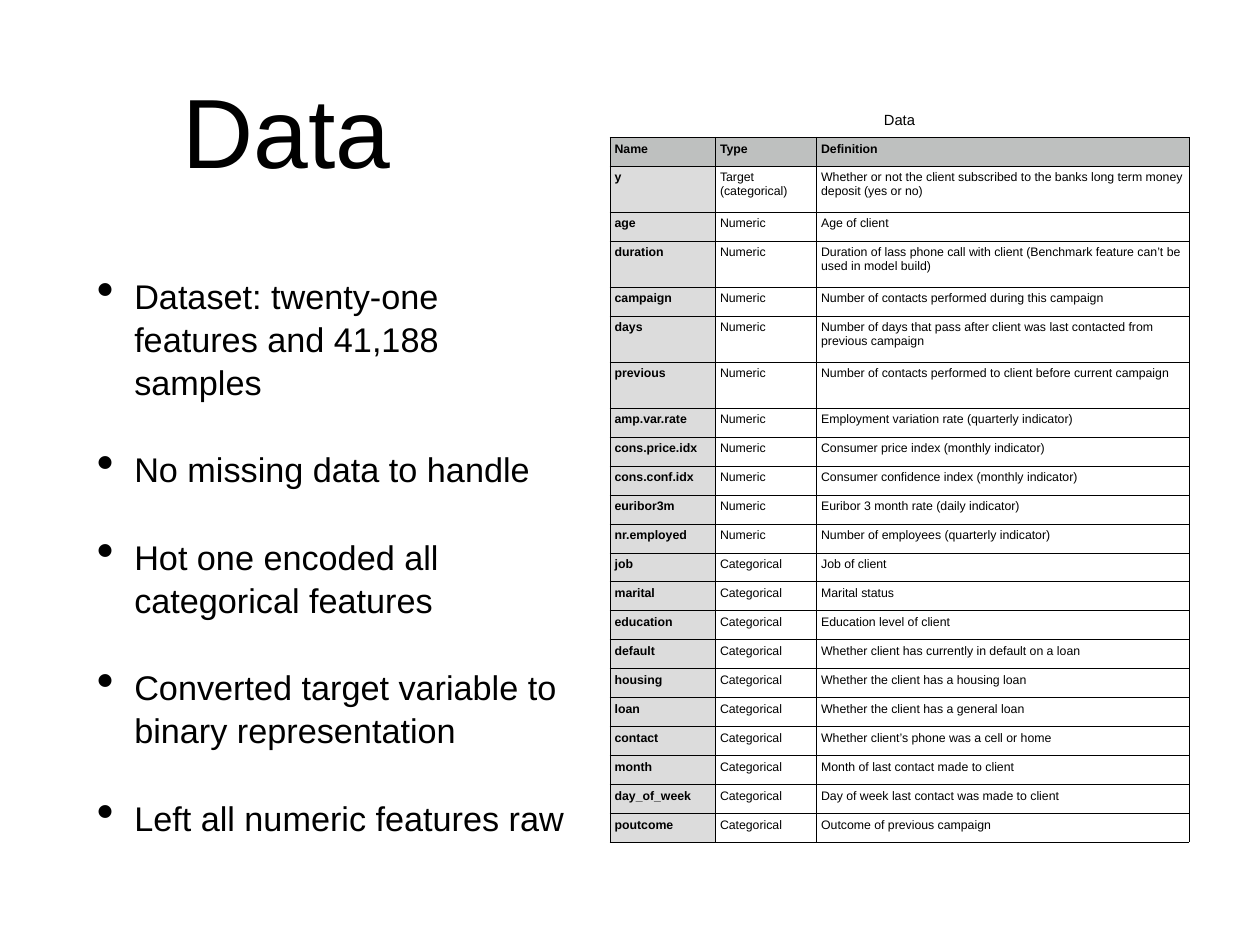
from lxml import etree
from pptx import Presentation
from pptx.dml.color import RGBColor
from pptx.enum.text import MSO_ANCHOR, PP_ALIGN
from pptx.oxml.ns import qn
from pptx.util import Cm, Pt

LEFT, CENTER = PP_ALIGN.LEFT, PP_ALIGN.CENTER
TOP, MIDDLE = MSO_ANCHOR.TOP, MSO_ANCHOR.MIDDLE

BLACK, HEADER_GRAY, NAME_GRAY = "000000", "BEC0BF", "DCDCDC"
THIN, THICK = 0.35, 0.75
INSET = 0.14
TITLE_HEIGHT, ROW_HEIGHT, TALL_HEIGHT = 0.98, 0.83, 1.32
COLUMN_WIDTHS = [3.02, 2.9, 10.69]

BULLETS = [
    "Dataset: twenty-one features and 41,188 samples",
    "No missing data to handle",
    "Hot one encoded all categorical features",
    "Converted target variable to binary representation",
    "Left all numeric features raw",
]
HEADINGS = ("Name", "Type", "Definition")
NUMERIC = [
    ("age", "Age of client"),
    ("duration", "Duration of lass phone call with client "
                 "(Benchmark feature can’t be used in model build)"),
    ("campaign", "Number of contacts performed during this campaign"),
    ("days", "Number of days that pass after client was last contacted "
             "from previous campaign"),
    ("previous", "Number of contacts performed to client before current campaign"),
    ("amp.var.rate", "Employment variation rate (quarterly indicator)"),
    ("cons.price.idx", "Consumer price index (monthly indicator)"),
    ("cons.conf.idx", "Consumer confidence index (monthly indicator)"),
    ("euribor3m", "Euribor 3 month rate (daily indicator)"),
    ("nr.employed", "Number of employees (quarterly indicator)"),
]
CATEGORICAL = [
    ("job", "Job of client"),
    ("marital", "Marital status"),
    ("education", "Education level of client"),
    ("default", "Whether client has currently in default on a loan"),
    ("housing", "Whether the client has a housing loan"),
    ("loan", "Whether the client has a general loan"),
    ("contact", "Whether client’s phone was a cell or home"),
    ("month", "Month of last contact made to client"),
    ("day_of_week", "Day of week last contact was made to client"),
    ("poutcome", "Outcome of previous campaign"),
]
FEATURES = [
    ("y", "Target (categorical)", "Whether or not the client subscribed to "
                                  "the banks long term money deposit (yes or no)"),
    *[(name, "Numeric", definition) for name, definition in NUMERIC],
    *[(name, "Categorical", definition) for name, definition in CATEGORICAL],
]
TALL_FEATURES = {"y", "duration", "days", "previous"}


def color(value):
    return RGBColor.from_string(value)


class SlideWriter:
    def __init__(self, page, font_name, ink):
        self.page = page
        self.font_name = font_name
        self.ink = ink

    def style(self, para, size, align=LEFT, bold=False):
        para.alignment = align
        para.font.name = self.font_name
        para.font.size = Pt(size)
        para.font.bold = bold
        para.font.color.rgb = color(self.ink)

    def text(self, lines, left, top, width, height, size, align=LEFT, bulleted=False):
        box = self.page.shapes.add_textbox(Cm(left), Cm(top), Cm(width), Cm(height))
        frame = box.text_frame
        frame.word_wrap = True
        frame.vertical_anchor = MIDDLE
        frame.margin_left = frame.margin_right = Cm(INSET)
        frame.margin_top = frame.margin_bottom = Cm(INSET)
        frame.text = "\n".join(lines)
        for para in frame.paragraphs:
            if bulleted:
                self.bullet(para)
            self.style(para, size, align)

    def bullet(self, para):
        para.space_before = Pt(36)
        para.line_spacing = 1.05
        properties = para._p.get_or_add_pPr()
        properties.set("marL", str(Cm(1.07)))
        properties.set("indent", str(Cm(-1.07)))
        etree.SubElement(properties, qn("a:buSzPct"), val="145000")
        etree.SubElement(properties, qn("a:buChar"), char="•")

    def table(self, left, top, widths, heights):
        frame = self.page.shapes.add_table(
            len(heights), len(widths), Cm(left), Cm(top),
            Cm(sum(widths)), Cm(sum(heights)))
        grid = frame.table
        grid.first_row = grid.horz_banding = False
        for column, width in zip(grid.columns, widths):
            column.width = Cm(width)
        for row, height in zip(grid.rows, heights):
            row.height = Cm(height)
        return grid

    def cell(self, cell, text, size, borders, fill=None, align=LEFT,
             anchor=TOP, bold=False):
        cell.text = text
        cell.vertical_anchor = anchor
        cell.margin_left = cell.margin_right = Cm(INSET)
        cell.margin_top = cell.margin_bottom = Cm(INSET)
        self.style(cell.text_frame.paragraphs[0], size, align, bold)
        self.borders(cell, borders)
        if fill:
            cell.fill.solid()
            cell.fill.fore_color.rgb = color(fill)
        else:
            cell.fill.background()

    def borders(self, cell, widths):
        properties = cell._tc.get_or_add_tcPr()
        for side, width in zip("LRTB", widths):
            line = etree.SubElement(properties, qn(f"a:ln{side}"), w=str(Pt(width)))
            if width:
                paint = etree.SubElement(line, qn("a:solidFill"))
                etree.SubElement(paint, qn("a:srgbClr"), val=self.ink)
            else:
                etree.SubElement(line, qn("a:noFill"))


deck = Presentation()
deck.slide_width, deck.slide_height = Cm(36.12), Cm(27.1)
writer = SlideWriter(deck.slides.add_slide(deck.slide_layouts[6]), "Arial", BLACK)

writer.text(["Data"], 2.64, 0.71, 11.15, 5.99, 80, CENTER)
writer.text(BULLETS, 2.64, 7.19, 13.74, 17.48, 27.8, bulleted=True)

feature_heights = [TALL_HEIGHT if name in TALL_FEATURES else ROW_HEIGHT
                   for name, _, _ in FEATURES]
grid = writer.table(17.48, 2.95, COLUMN_WIDTHS,
                    [TITLE_HEIGHT, ROW_HEIGHT, *feature_heights])

for column, heading in enumerate(HEADINGS):
    writer.cell(grid.cell(0, column), "" if column else "Data", 12,
                (0, 0, 0, THIN), align=CENTER, anchor=MIDDLE)
    writer.cell(grid.cell(1, column), heading, 10,
                (THIN, THIN, THIN, THICK), HEADER_GRAY, bold=True)
grid.cell(0, 0).merge(grid.cell(0, len(HEADINGS) - 1))
grid.cell(0, 0).text_frame.paragraphs[0].space_before = Pt(6)

for row, feature in enumerate(FEATURES, start=2):
    upper = THICK if row == 2 else THIN
    for column, text in enumerate(feature):
        is_name = column == 0
        sides = (THICK if column == 1 else THIN, THICK if is_name else THIN)
        writer.cell(grid.cell(row, column), text, 10, (*sides, upper, THIN),
                    NAME_GRAY if is_name else None, bold=is_name)

deck.save("out.pptx")
